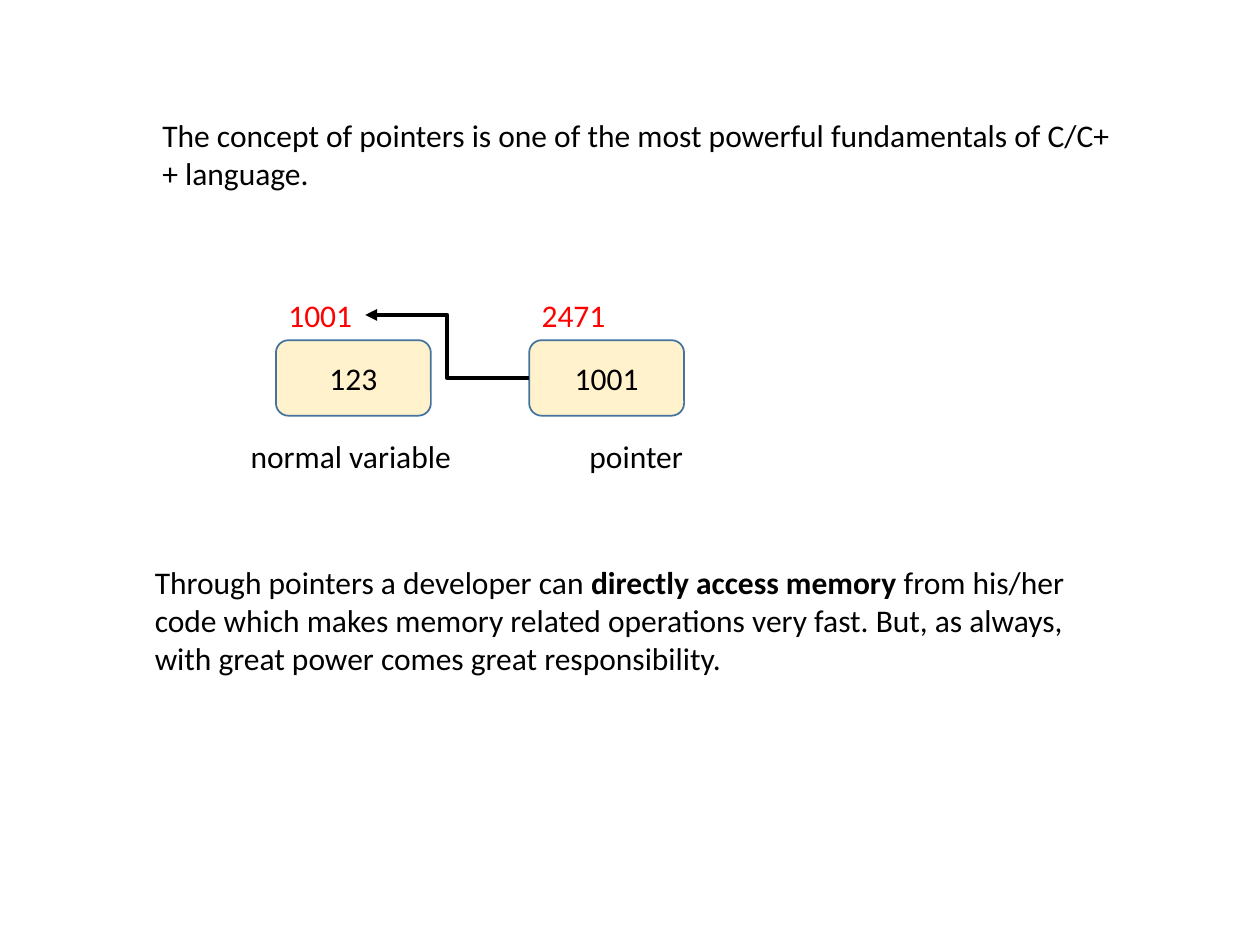
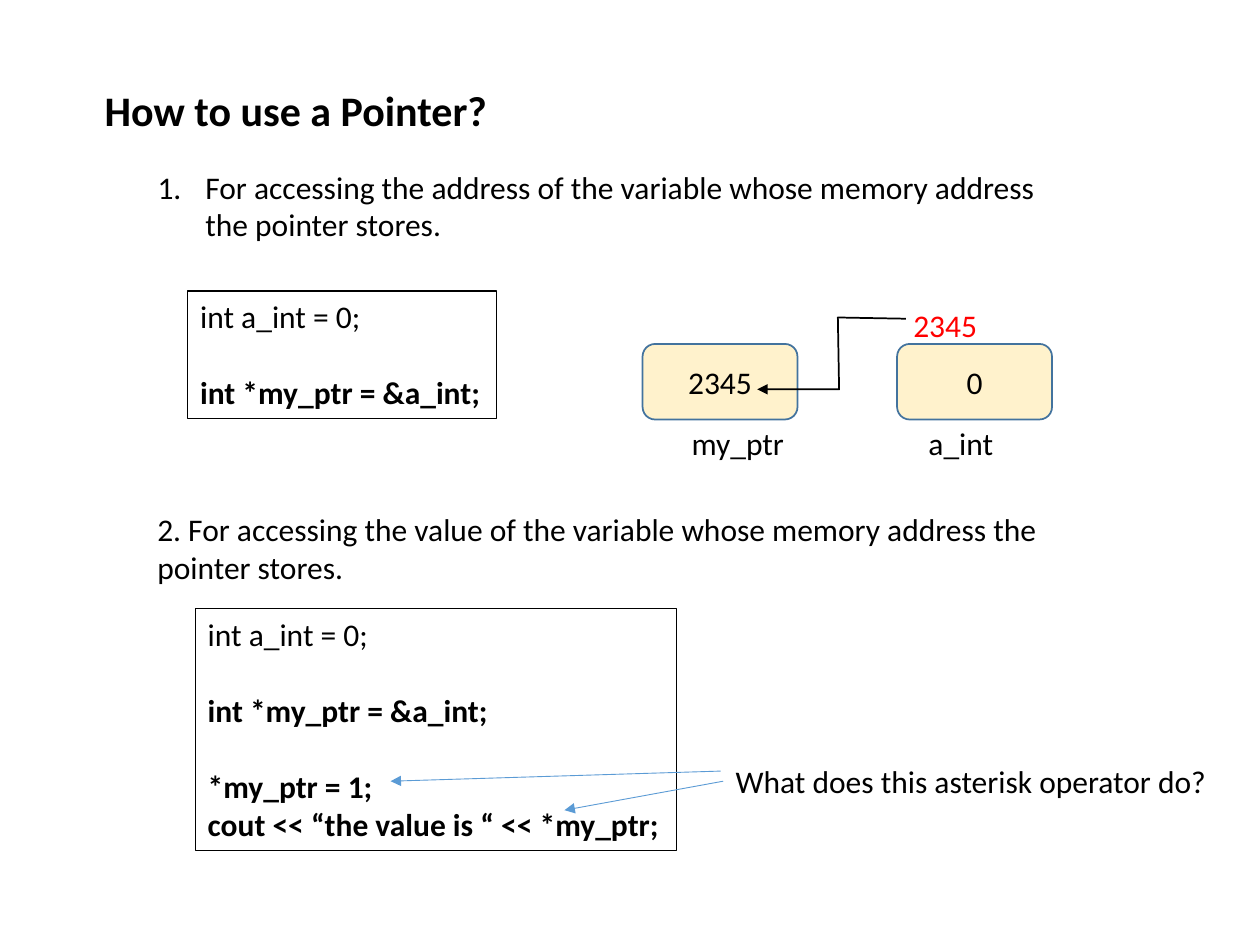
"""Build two slides that explain what a pointer is and how to use one."""
from lxml import etree
from pptx import Presentation
from pptx.dml.color import RGBColor
from pptx.enum.dml import MSO_LINE_DASH_STYLE
from pptx.enum.shapes import MSO_CONNECTOR, MSO_SHAPE
from pptx.enum.text import MSO_ANCHOR, MSO_AUTO_SIZE, PP_ALIGN
from pptx.oxml.ns import qn
from pptx.util import Inches, Pt

ELBOW, STRAIGHT = MSO_CONNECTOR.ELBOW, MSO_CONNECTOR.STRAIGHT
ROUNDED = MSO_SHAPE.ROUNDED_RECTANGLE
SOLID = MSO_LINE_DASH_STYLE.SOLID
TOP, MIDDLE = MSO_ANCHOR.TOP, MSO_ANCHOR.MIDDLE
LEFT, CENTER = PP_ALIGN.LEFT, PP_ALIGN.CENTER
NO_FIT = MSO_AUTO_SIZE.NONE
LEFT_SIDE = 1

THEME = {
    "font": "Calibri", "title": 24, "body": 18,
    "ink": "000000", "address": "FF0000", "cell": "FFF2CC",
    "cell_edge": "43739E", "callout": "5B9BD5",
}
COLUMNS, ROWS = 100, 75
WIDTH, HEIGHT = Inches(10), Inches(7.5)
CELL = (12.3, 6)

INTRO = [[("The concept of pointers is one of the most powerful fundamentals of "
           "C/C++ language.", False)]]
POWER = [[("Through pointers a developer can ", False),
          ("directly access memory ", True),
          ("from his/her code which makes memory related operations very fast. "
           "But, as always, with great power comes great responsibility.", False)]]
PARAGRAPHS = [(INTRO, (11.9, 8.7, 77.2, 7.1)), (POWER, (11.3, 44.2, 78.5, 10.1))]

CONCEPT_CELLS = [
    {"corner": (21.9, 27), "value": "123", "address": ("1001", (21.9, 23, 7.1, 4)),
     "name": ("normal variable", (18.9, 34.2, 18.1, 4))},
    {"corner": (42, 27), "value": "1001", "address": ("2471", (42, 23, 7.1, 4)),
     "name": ("pointer", (45.8, 34.2, 9.5, 4))},
]
CONCEPT_ARROW = ((42, 30), (29, 25))

TITLE = ([[("How to use a Pointer?", True)]], (7.3, 6.2, 32.7, 5))
ADDRESS_USE = ([[("For accessing the address of the variable whose memory address "
                  "the pointer stores.", False)]], (11.5, 12.8, 72.7, 7.1))
VALUE_USE = ([[("2. For accessing the value of the variable whose memory address "
                "the pointer stores.", False)]], (11.5, 40, 72.7, 7.1))
USAGE_CELLS = [
    {"corner": (51, 27.3), "value": "2345",
     "name": ("my_ptr", (53.9, 33.2, 9.4, 4))},
    {"corner": (71.2, 27.3), "value": "0", "address": ("2345", (71.5, 23.8, 7.1, 4)),
     "name": ("a_int", (72.7, 33.2, 7.2, 4))},
]
ADDRESS_PATH = [(71.9, 25.3), (66.5, 25.2), (66.6, 30.9), (60.1, 30.9)]

DECLARE = [[("int a_int = 0;", False)], [("int *my_ptr = &a_int;", True)]]
DEREFERENCE = DECLARE + [[("*my_ptr = 1;", True)],
                         [("cout << “the value is “ << *my_ptr;", True)]]
LISTINGS = [(DECLARE, (14.9, 23.1, 24.5, 10.1), {1}),
            (DEREFERENCE, (15.5, 48.3, 38.2, 19.2), {1, 2})]
QUESTION = ([[("What does this asterisk operator do?", False)]], (57.4, 60, 39.8, 4))
QUESTION_ARROWS = [((57.4, 62), (44.8, 64.3)), ((57.2, 61.2), (31, 62))]


def color(role):
    """Return the theme colour for a role."""
    return RGBColor.from_string(THEME[role])


def grid(column, row):
    """Turn a grid position into slide lengths."""
    return round(WIDTH * column / COLUMNS), round(HEIGHT * row / ROWS)


def apply(target, values):
    """Set attributes from a dict of format values."""
    for attribute, value in values.items():
        setattr(target, attribute, value)


def write(holder, lines, size="body", role="ink", wrap=True, anchor=TOP,
          align=LEFT, gaps=()):
    """Fill a text holder with lines of (text, bold) runs."""
    frame = holder.text_frame
    apply(frame, {"word_wrap": wrap, "auto_size": NO_FIT, "vertical_anchor": anchor})
    for index, runs in enumerate(lines):
        paragraph = frame.paragraphs[0] if index == 0 else frame.add_paragraph()
        gap = Pt(THEME[size] * 1.22) if index in gaps else Pt(0)
        apply(paragraph, {"alignment": align, "space_before": gap})
        for text, bold in runs:
            run = paragraph.add_run()
            run.text = text
            apply(run.font, {"name": THEME["font"], "size": Pt(THEME[size]),
                             "bold": bold})
            run.font.color.rgb = color(role)
    return holder


def text_box(slide, lines, area, **style):
    """Add a text box on the grid."""
    box = slide.shapes.add_textbox(*grid(*area[:2]), *grid(*area[2:]))
    return write(box, lines, **style)


def fill_placeholder(holder, lines, area, **style):
    """Move a placeholder onto the grid and fill it."""
    places = grid(*area[:2]) + grid(*area[2:])
    apply(holder, dict(zip(("left", "top", "width", "height"), places)))
    return write(holder, lines, **style)


def outline(shape, role, width):
    """Give a shape or connector a solid line."""
    shape.line.color.rgb = color(role)
    apply(shape.line, {"width": Pt(width), "dash_style": SOLID})


def add_arrowhead(shape):
    """Put a triangle at the end of a line."""
    line = shape.element.spPr.find(qn("a:ln"))
    etree.SubElement(line, qn("a:tailEnd"), type="triangle")


def number_list(holder):
    """Number the paragraphs of a list with a hanging indent."""
    for paragraph in holder.text_frame.paragraphs:
        properties = paragraph._p.get_or_add_pPr()
        properties.set("marL", str(Inches(0.38)))
        properties.set("indent", str(-Inches(0.38)))
        etree.SubElement(properties, qn("a:buFont"), typeface="+mj-lt")
        etree.SubElement(properties, qn("a:buAutoNum"), type="arabicPeriod")


def arrow(slide, kind, ends, role, width):
    """Add a connector with an arrowhead."""
    start, end = ends
    link = slide.shapes.add_connector(kind, *grid(*start), *grid(*end))
    outline(link, role, width)
    add_arrowhead(link)
    etree.SubElement(link.element.spPr, qn("a:effectLst"))
    return link


def memory_cells(slide, cells):
    """Draw memory cells with their values, addresses and names."""
    for cell in cells:
        box = slide.shapes.add_shape(ROUNDED, *grid(*cell["corner"]), *grid(*CELL))
        box.shadow.inherit = False
        box.fill.solid()
        box.fill.fore_color.rgb = color("cell")
        outline(box, "cell_edge", 1)
        write(box, [[(cell["value"], False)]], anchor=MIDDLE, align=CENTER)
        for part, role in (("address", "address"), ("name", "ink")):
            if part in cell:
                label, area = cell[part]
                text_box(slide, [[(label, False)]], area, role=role, wrap=False)


def build_concept(deck):
    """Build the slide on the concept of pointers."""
    slide = deck.slides.add_slide(deck.slide_layouts[6])
    for lines, area in PARAGRAPHS:
        text_box(slide, lines, area)
    memory_cells(slide, CONCEPT_CELLS)
    arrow(slide, ELBOW, CONCEPT_ARROW, "ink", 2.25)


def build_usage(deck):
    """Build the slide on using a pointer."""
    slide = deck.slides.add_slide(deck.slide_layouts[1])
    title, uses = slide.placeholders
    fill_placeholder(title, *TITLE, size="title", wrap=False)
    number_list(fill_placeholder(uses, *ADDRESS_USE))
    text_box(slide, *VALUE_USE)
    memory_cells(slide, USAGE_CELLS)

    start, *bends = [grid(*point) for point in ADDRESS_PATH]
    builder = slide.shapes.build_freeform(*start)
    builder.add_line_segments(bends, close=False)
    address_path = builder.convert_to_shape()
    address_path.shadow.inherit = False
    address_path.fill.background()
    outline(address_path, "ink", 1)
    add_arrowhead(address_path)

    for lines, area, gaps in LISTINGS:
        listing = text_box(slide, lines, area, wrap=False, gaps=gaps)
        outline(listing, "ink", 0.75)
    question = text_box(slide, *QUESTION, wrap=False)
    links = [arrow(slide, STRAIGHT, ends, "callout", 0.5) for ends in QUESTION_ARROWS]
    links[0].begin_connect(question, LEFT_SIDE)


def main():
    """Build and save the deck."""
    deck = Presentation()
    apply(deck, {"slide_width": WIDTH, "slide_height": HEIGHT})
    build_concept(deck)
    build_usage(deck)
    deck.save("out.pptx")


if __name__ == "__main__":
    main()
